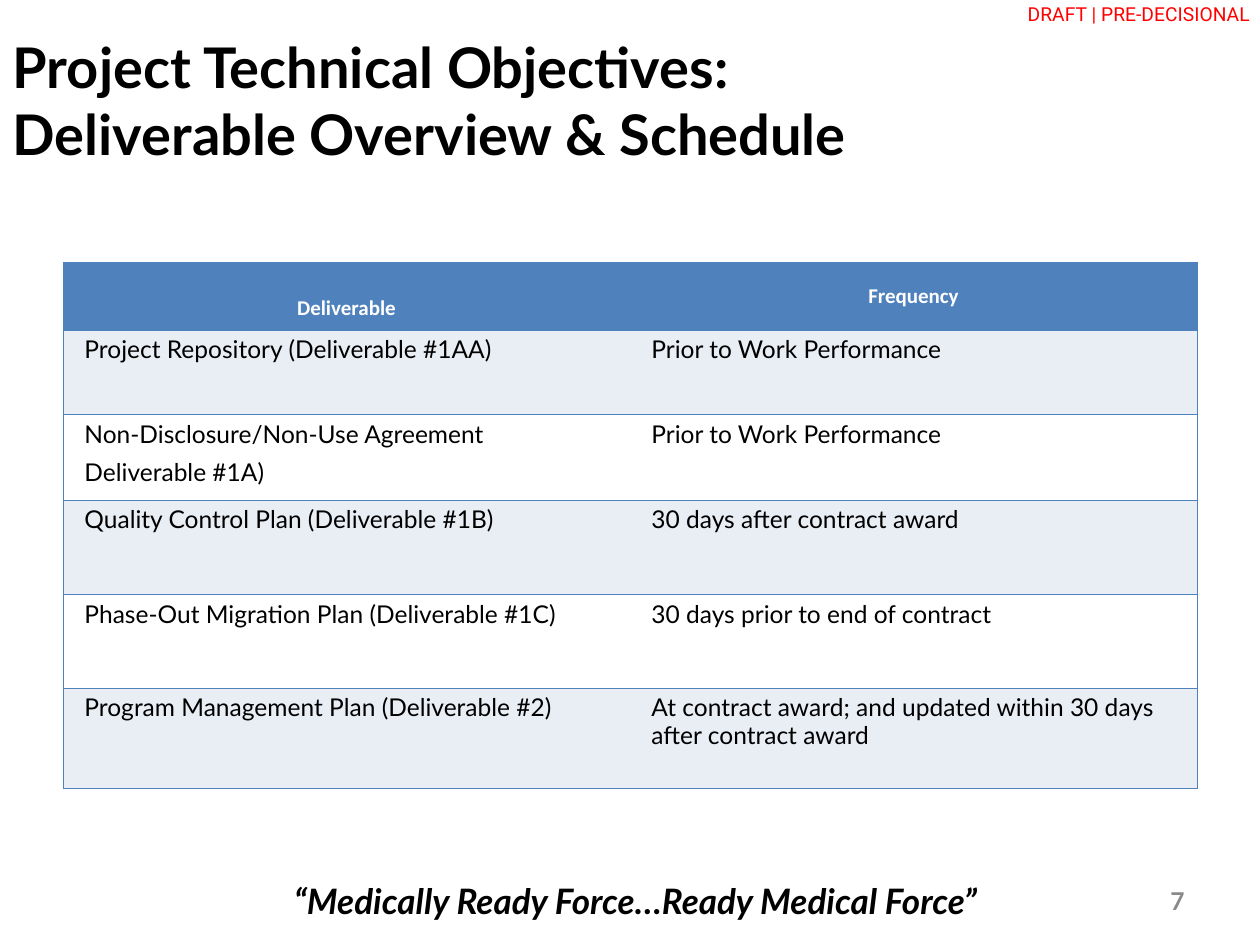
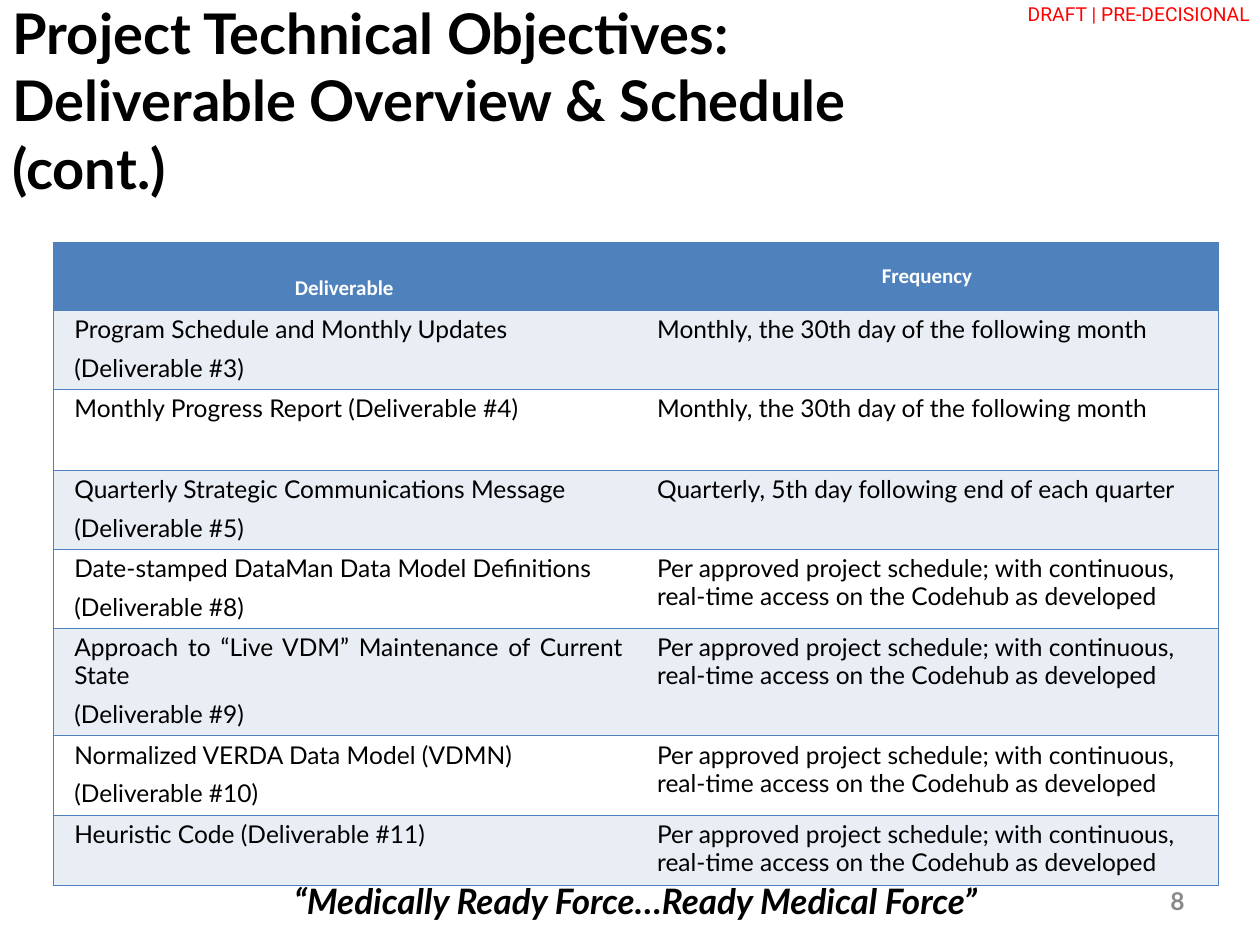
from lxml.etree import SubElement
from pptx import Presentation
from pptx.dml.color import RGBColor
from pptx.enum.text import MSO_ANCHOR as Anchor, MSO_AUTO_SIZE as AutoSize, PP_ALIGN as Align
from pptx.oxml.ns import qn
from pptx.util import Inches, Pt

COLORS = {
    "text": "000000",
    "draft": "FF0000",
    "number": "898989",
    "header": "4F81BD",
    "header_text": "FFFFFF",
    "band": "E9EDF4",
    "plain": "FFFFFF",
}
PLAIN_TABLE_STYLE = "{2D5ABB26-0587-4C30-8999-92F81FD0307C}"
TITLE = "Project Technical Objectives:\vDeliverable Overview & Schedule"
MOTTO = "“Medically Ready Force…Ready Medical Force”"
BEFORE_WORK = "Prior to Work Performance"
MONTHLY = "Monthly, the 30th day of the following month"
PER_SCHEDULE = ("Per approved project schedule; with continuous, "
                "real-time access on the Codehub as developed")

FIRST_DELIVERABLES = [
    ("Project Repository (Deliverable #1AA)", BEFORE_WORK, 0.67),
    ("Non-Disclosure/Non-Use Agreement\nDeliverable #1A)", BEFORE_WORK, 0.68),
    ("Quality Control Plan (Deliverable #1B)", "30 days after contract award", 0.75),
    ("Phase-Out Migration Plan (Deliverable #1C)", "30 days prior to end of contract", 0.74),
    ("Program Management Plan (Deliverable #2)",
     "At contract award; and updated within 30 days after contract award", 0.8),
]
JUSTIFIED = "Approach to “Live VDM” Maintenance of Current State\n(Deliverable #9)"
LATER_DELIVERABLES = [
    ("Program Schedule and Monthly Updates\n(Deliverable #3)", MONTHLY, 0.63),
    ("Monthly Progress Report (Deliverable #4)", MONTHLY, 0.64),
    ("Quarterly Strategic Communications Message\n(Deliverable #5)",
     "Quarterly, 5th day following end of each quarter", 0.62),
    ("Date-stamped DataMan Data Model Definitions\n(Deliverable #8)", PER_SCHEDULE, 0.63),
    (JUSTIFIED, PER_SCHEDULE, 0.85),
    ("Normalized VERDA Data Model (VDMN)\n(Deliverable #10)", PER_SCHEDULE, 0.63),
    ("Heuristic Code (Deliverable #11)", PER_SCHEDULE, 0.56),
]


def style(paragraph, size, color, font="Lato", bold=False, italic=False, align=Align.LEFT):
    paragraph.alignment = align
    paragraph.font.size = Pt(size)
    paragraph.font.name = font
    paragraph.font.bold = bold
    paragraph.font.italic = italic
    paragraph.font.color.rgb = RGBColor.from_string(COLORS[color])


def add_label(slide, box, text, size, color, anchor=Anchor.MIDDLE, **look):
    frame = slide.shapes.add_textbox(*map(Inches, box)).text_frame
    frame.word_wrap = True
    frame.vertical_anchor = anchor
    frame.text = text
    style(frame.paragraphs[0], size, color, **look)
    return frame.paragraphs[0]


def place_title(slide, box, text):
    title = slide.shapes.title
    title.left, title.top, title.width, title.height = map(Inches, box)
    frame = title.text_frame
    frame.text = text
    frame.word_wrap = True
    frame.auto_size = AutoSize.NONE
    frame.vertical_anchor = Anchor.MIDDLE
    style(frame.paragraphs[0], 32, "text", bold=True)


def draw_borders(cell, sides):
    properties = cell._tc.get_or_add_tcPr()
    for side in sides:
        line = SubElement(properties, qn(f"a:ln{side}"), w=str(Pt(0.23)))
        fill = SubElement(line, qn("a:solidFill"))
        SubElement(fill, qn("a:srgbClr"), val=COLORS["header"])


def fill_cell(cell, color):
    cell.fill.solid()
    cell.fill.fore_color.rgb = RGBColor.from_string(COLORS[color])


def format_header(cell, text, anchor):
    fill_cell(cell, "header")
    cell.text = text
    cell.vertical_anchor = anchor
    cell.margin_left = cell.margin_right = Inches(0.04)
    if anchor == Anchor.BOTTOM:
        cell.margin_bottom = Inches(0.07)
    style(cell.text_frame.paragraphs[0], 12, "header_text", "Calibri", True, align=Align.CENTER)


def format_entry(cell, text, color):
    fill_cell(cell, color)
    cell.text = text
    for paragraph in cell.text_frame.paragraphs:
        style(paragraph, 14, "text", align=Align.JUSTIFY if text == JUSTIFIED else Align.LEFT)
        paragraph.line_spacing = 0.95
        paragraph.space_before = Pt(6)
        paragraph._p.get_or_add_pPr().set("marL", str(Inches(0.07)))


def add_schedule(slide, left, top, width, deliverables):
    heights = [0.54] + [height for _, _, height in deliverables]
    box = map(Inches, (left, top, width, sum(heights)))
    schedule = slide.shapes.add_table(len(heights), 2, *box).table
    schedule._tbl.tblPr.find(qn("a:tableStyleId")).text = PLAIN_TABLE_STYLE
    schedule.horz_banding = False
    for column in schedule.columns:
        column.width = Inches(width / 2)
    for row, height in zip(schedule.rows, heights):
        row.height = Inches(height)
        for cell, sides in zip(row.cells, ("LTB", "RTB")):
            draw_borders(cell, sides)
    format_header(schedule.cell(0, 0), "Deliverable", Anchor.BOTTOM)
    format_header(schedule.cell(0, 1), "Frequency", Anchor.MIDDLE)
    for index, (deliverable, frequency, _) in enumerate(deliverables, 1):
        color = "band" if index % 2 else "plain"
        format_entry(schedule.cell(index, 0), deliverable, color)
        format_entry(schedule.cell(index, 1), frequency, color)


def add_schedule_slide(deck, number, title, left, top, width, deliverables):
    slide = deck.slides.add_slide(deck.slide_layouts[5])
    draft = add_label(slide, (7.35, 0.02, 2.67, 0.23), "DRAFT | PRE-DECISIONAL", 11, "draft",
                      Anchor.TOP, font="Roboto", align=Align.RIGHT)
    draft.line_spacing = 0.7
    draft.space_before = Pt(2.8)
    place_title(slide, (0, 0, 7.67, 1.58), title)
    add_label(slide, (8.33, 6.95, 1.17, 0.4), str(number), 14, "number",
              bold=True, align=Align.RIGHT)
    add_schedule(slide, left, top, width, deliverables)
    add_label(slide, (1.92, 6.95, 6.25, 0.4), MOTTO, 20, "text",
              bold=True, italic=True, align=Align.CENTER)


deck = Presentation()
deck.slide_width, deck.slide_height = Inches(10), Inches(7.5)
add_schedule_slide(deck, 7, TITLE, 0.5, 2.08, 9, FIRST_DELIVERABLES)
add_schedule_slide(deck, 8, TITLE + " (cont.)", 0.42, 1.92, 9.25, LATER_DELIVERABLES)
deck.save("out.pptx")
